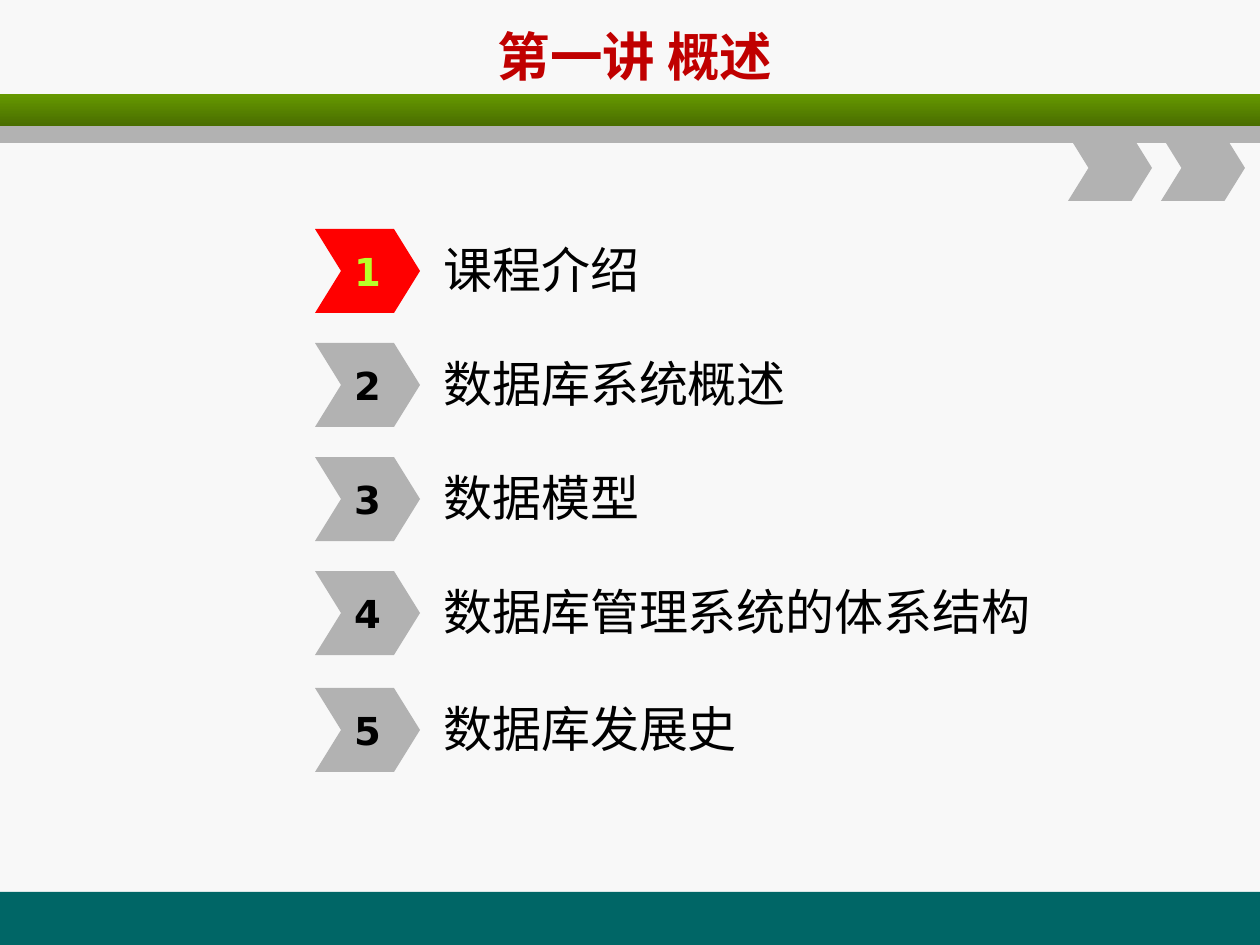
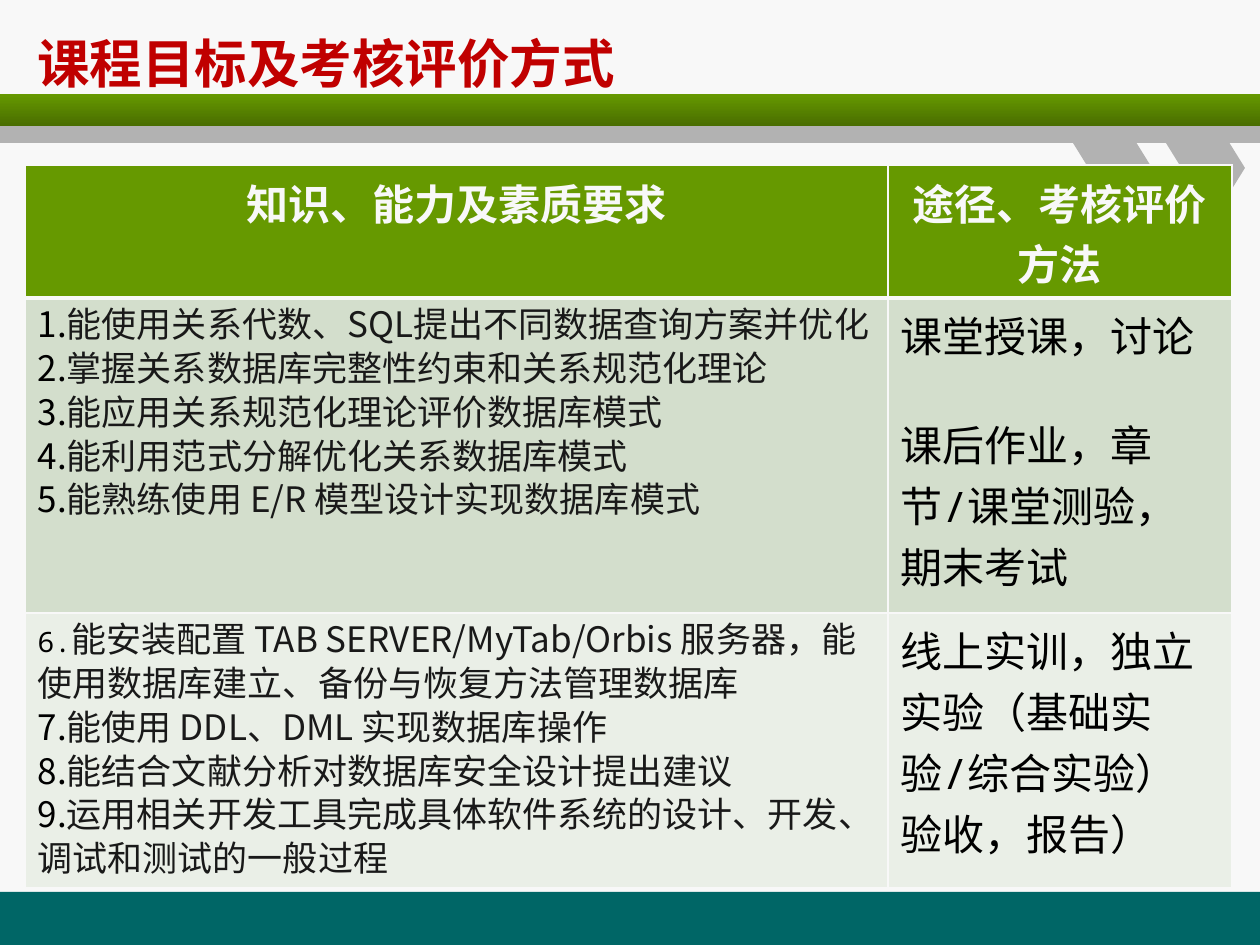
from lxml.etree import SubElement
from pptx import Presentation
from pptx.dml.color import RGBColor
from pptx.enum.shapes import MSO_SHAPE
from pptx.enum.text import MSO_ANCHOR, PP_ALIGN
from pptx.oxml import parse_xml
from pptx.oxml.ns import nsdecls, qn
from pptx.util import Pt

SCALE = 914400 / 126  # EMU per px
PAPER = RGBColor(0xF8, 0xF8, 0xF8)
TEAL = RGBColor(0x00, 0x66, 0x66)
GREEN = RGBColor(0x66, 0x99, 0x00)
DARK_GREEN = RGBColor(0x49, 0x6D, 0x00)
GRAY = RGBColor(0xB2, 0xB2, 0xB2)
RED = RGBColor(0xFF, 0x00, 0x00)
LIME = RGBColor(0xB8, 0xFF, 0x29)
TITLE_RED = RGBColor(0xC0, 0x00, 0x00)
BLACK = RGBColor(0x00, 0x00, 0x00)
INK = RGBColor(0x19, 0x19, 0x19)
BODY_FILLS = [RGBColor(0xD3, 0xDE, 0xCC), RGBColor(0xEA, 0xEF, 0xE7)]
SANS = "Noto Sans CJK SC"
ITEM_FONT = "Noto Sans CJK JP"
MONO = "Noto Sans Mono"
NUMBER_FONT = "DejaVu Sans"


def add_box(slide, kind, box, fill=None):
    """Add a preset shape, or a text box when kind is None; box is in px."""
    lengths = [round(value * SCALE) for value in box]
    if kind is None:
        shape = slide.shapes.add_textbox(*lengths)
    else:
        shape = slide.shapes.add_shape(kind, *lengths)
        shape.shadow.inherit = False
        shape.line.fill.background()
        shape.fill.solid()
        shape.fill.fore_color.rgb = fill
        if kind == MSO_SHAPE.CHEVRON:
            shape.adjustments[0] = 0.31
    shape.text_frame.vertical_anchor = MSO_ANCHOR.MIDDLE
    return shape


def style_run(run, size, font, color, bold=False):
    run.font.size = Pt(size)
    run.font.name = font
    run.font.bold = bold
    run.font.color.rgb = color
    east_asian = SubElement(run.font._element, qn("a:ea"))
    east_asian.set("typeface", SANS if font == MONO else font)


presentation = Presentation()
presentation.slide_width = round(1260 * SCALE)
presentation.slide_height = round(945 * SCALE)

# Shared background, bands and titles
titles = [
    ("第一讲 概述", (68, 14, 1134, 84), PP_ALIGN.CENTER),
    ("课程目标及考核评价方式", (25, 21, 1203, 84), PP_ALIGN.LEFT),
]
for title, box, alignment in titles:
    slide = presentation.slides.add_slide(presentation.slide_layouts[6])
    slide.background.fill.solid()
    slide.background.fill.fore_color.rgb = PAPER
    add_box(slide, MSO_SHAPE.RECTANGLE, (0, 892, 1260, 53), TEAL)
    green_band = add_box(slide, MSO_SHAPE.RECTANGLE, (0, 94, 1260, 32), GREEN)
    green_band.fill.gradient()
    green_band.fill.gradient_angle = 270
    for stop, color in zip(green_band.fill.gradient_stops, (GREEN, DARK_GREEN)):
        stop.color.rgb = color
    add_box(slide, MSO_SHAPE.RECTANGLE, (0, 126, 1260, 17), GRAY)
    for left in (1068, 1161):
        add_box(slide, MSO_SHAPE.CHEVRON, (left, 135, 84, 66), GRAY)
    title_box = add_box(slide, None, box)
    title_box.text_frame.word_wrap = True
    paragraph = title_box.text_frame.paragraphs[0]
    paragraph.text = title
    paragraph.alignment = alignment
    style_run(paragraph.runs[0], 30, SANS, TITLE_RED, True)

contents_slide, goals_slide = presentation.slides

# Slide 1: numbered contents
topics = ["课程介绍", "数据库系统概述", "数据模型", "数据库管理系统的体系结构", "数据库发展史"]
tops = [229, 343, 457, 571, 688]
for number, (topic, top) in enumerate(zip(topics, tops), start=1):
    current = number == 1
    topic_box = add_box(contents_slide, None, (420, top + 3, 746, 73))
    topic_box.text_frame.text = " " + topic
    style_run(topic_box.text_frame.paragraphs[0].runs[0], 28, ITEM_FONT, BLACK)
    chevron = add_box(contents_slide, MSO_SHAPE.CHEVRON, (315, top, 105, 84),
                      RED if current else GRAY)
    chevron.text_frame.word_wrap = False
    paragraph = chevron.text_frame.paragraphs[0]
    paragraph.text = str(number)
    paragraph.alignment = PP_ALIGN.CENTER
    style_run(paragraph.runs[0], 22, NUMBER_FONT, LIME if current else BLACK, True)

# Slide 2: goals and assessment table
rows = [
    (["知识、能力及素质要求"], ["途径、考核评价方法"]),
    (["1.能使用关系代数、SQL提出不同数据查询方案并优化",
      "2.掌握关系数据库完整性约束和关系规范化理论",
      "3.能应用关系规范化理论评价数据库模式",
      "4.能利用范式分解优化关系数据库模式",
      "5.能熟练使用 E/R 模型设计实现数据库模式"],
     ["课堂授课，讨论", "课后作业，章节/课堂测验，期末考试"]),
    (["6.能安装配置 TAB SERVER/MyTab/Orbis 服务器，能使用数据库建立、备份与恢复方法管理数据库",
      "7.能使用 DDL、DML 实现数据库操作",
      "8.能结合文献分析对数据库安全设计提出建议",
      "9.运用相关开发工具完成具体软件系统的设计、开发、调试和测试的一般过程"],
     ["线上实训，独立实验（基础实验/综合实验）验收，报告）"]),
]
table_box = [round(value * SCALE) for value in (25, 165, 1207, 722)]
table = goals_slide.shapes.add_table(3, 2, *table_box).table
for column, width in zip(table.columns, (863, 344)):
    column.width = round(width * SCALE)
for row, height in zip(table.rows, (133, 315, 274)):
    row.height = round(height * SCALE)

for row_index, row in enumerate(rows):
    header = row_index == 0
    for column_index, lines in enumerate(row):
        cell = table.cell(row_index, column_index)
        cell.fill.solid()
        cell.fill.fore_color.rgb = GREEN if header else BODY_FILLS[row_index - 1]
        # Borders, with a heavier rule under the header
        heavy_side = {0: "B", 1: "T"}.get(row_index)
        for position, side in enumerate("LRTB"):
            width = Pt(3 if side == heavy_side else 1)
            cell._tc.get_or_add_tcPr().insert(position, parse_xml(
                f'<a:ln{side} {nsdecls("a")} w="{width}"><a:solidFill>'
                f'<a:srgbClr val="{PAPER}"/></a:solidFill></a:ln{side}>'))

        cell.text_frame.text = "\n".join(lines)
        for line_index, paragraph in enumerate(cell.text_frame.paragraphs):
            paragraph.alignment = PP_ALIGN.CENTER if header else PP_ALIGN.LEFT
            run = paragraph.runs[0]
            if header:
                style_run(run, 24, MONO, PAPER, True)
            elif column_index == 1:
                style_run(run, 24, MONO, BLACK)
                paragraph.space_before = Pt(27 if line_index else 0)
            else:
                # Number and goal are separate runs
                paragraph.line_spacing = Pt(25)
                run.text, goal = lines[line_index][:2], lines[line_index][2:]
                if run.text == "6.":
                    style_run(run, 16, MONO, BLACK)
                else:
                    style_run(run, 20, SANS, BLACK)
                goal_run = paragraph.add_run()
                goal_run.text = goal
                style_run(goal_run, 20, SANS, INK)

presentation.save("out.pptx")
